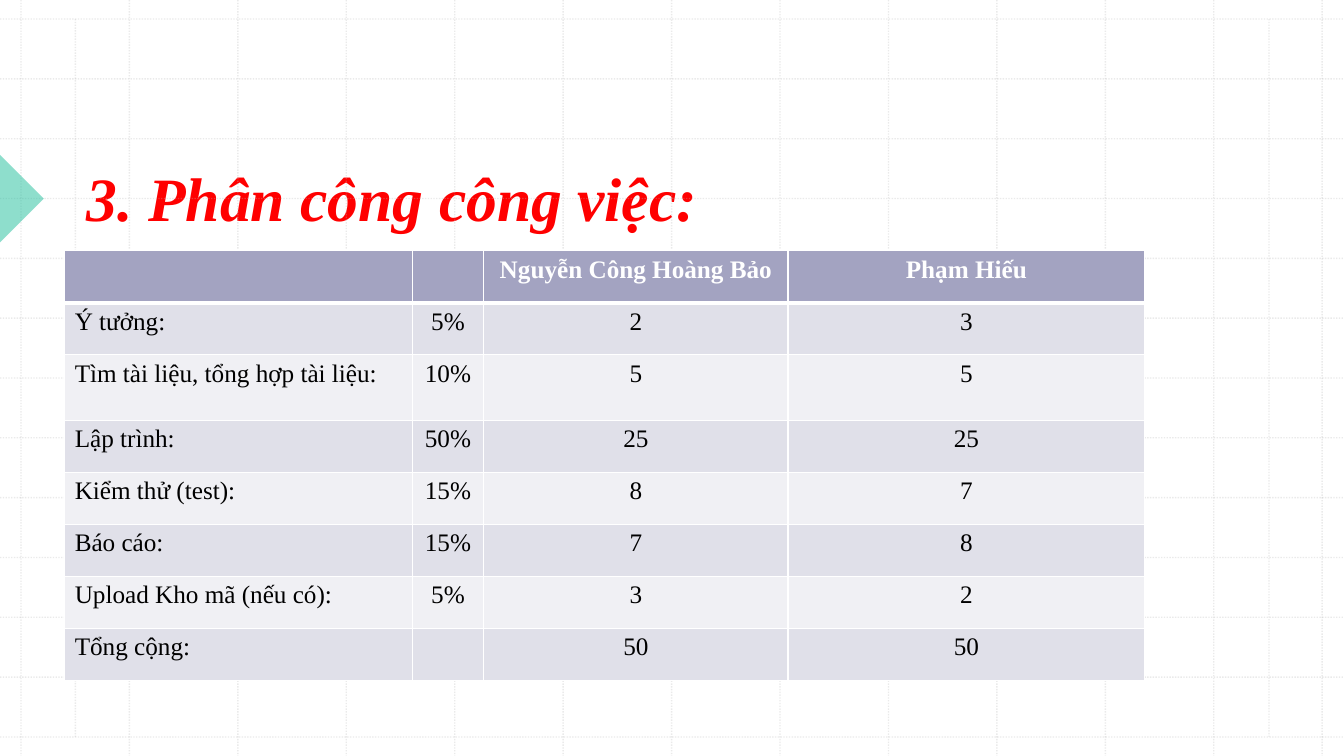
from lxml.etree import SubElement
from pptx import Presentation
from pptx.dml.color import RGBColor
from pptx.enum.dml import MSO_LINE
from pptx.enum.shapes import MSO_CONNECTOR, MSO_SHAPE
from pptx.enum.text import MSO_ANCHOR, MSO_AUTO_SIZE, PP_ALIGN
from pptx.oxml.ns import qn
from pptx.util import Cm, Pt

WIDTH, HEIGHT = 33.87, 19.05
LEFT, RIGHT, TOP, BOTTOM = 0.53, 33.32, 0.48, 18.57
STEPS = 12
COLUMN_WIDTHS = [8.76, 1.8, 7.67, 8.99]
ROW_HEIGHTS = [1.31, 1.31, 1.65] + [1.31] * 5
WORKLOAD = [
    ["", "", "Nguyễn Công Hoàng Bảo", "Phạm Hiếu"],
    ["Ý tưởng:", "5%", "2", "3"],
    ["Tìm tài liệu, tổng hợp tài liệu:", "10%", "5", "5"],
    ["Lập trình:", "50%", "25", "25"],
    ["Kiểm thử (test):", "15%", "8", "7"],
    ["Báo cáo:", "15%", "7", "8"],
    ["Upload Kho mã (nếu có):", "5%", "3", "2"],
    ["Tổng cộng:", "", "50", "50"],
]


def paint(target, color, alpha=None):
    target.solid()
    target.fore_color.rgb = RGBColor.from_string(color)
    if alpha is not None:
        tint = target._xPr.find(qn("a:solidFill"))[0]
        SubElement(tint, qn("a:alpha"), val=str(alpha * 1000))


def write(frame, text, size=18, color="000000", bold=False, italic=False,
          align=PP_ALIGN.LEFT):
    paragraph = frame.paragraphs[0]
    paragraph.alignment = align
    run = paragraph.add_run()
    run.text = text
    font = run.font
    font.name, font.size = "Times New Roman", Pt(size)
    font.bold, font.italic = bold, italic
    paint(font.fill, color)


class Deck:
    grid, accent, heading = "BCBCBC", "1EBE9B", "FF0000"
    header, bands, border = "A3A3C1", ["F0F0F4", "E0E0E9"], "FFFFFF"

    def __init__(self):
        self.deck = Presentation()
        self.deck.slide_width, self.deck.slide_height = Cm(WIDTH), Cm(HEIGHT)
        self.slide = self.deck.slides.add_slide(self.deck.slide_layouts[5])
        self.shapes = self.slide.shapes

    def grid_line(self, *ends):
        line = self.shapes.add_connector(MSO_CONNECTOR.STRAIGHT, *map(Cm, ends))
        line.line.width = Pt(1)
        paint(line.line.fill, self.grid, alpha=30)
        line.line.dash_style = MSO_LINE.ROUND_DOT
        SubElement(line._element.spPr, qn("a:effectLst"))

    def marker(self, *box):
        marker = self.shapes.add_shape(MSO_SHAPE.RIGHT_TRIANGLE, *map(Cm, box))
        marker.rotation = 225
        marker.shadow.inherit = False
        paint(marker.fill, self.accent, alpha=50)
        marker.line.fill.background()

    def title(self, text, *box):
        title = self.shapes.title
        title.left, title.top, title.width, title.height = map(Cm, box)
        frame = title.text_frame
        frame.word_wrap = True
        frame.auto_size = MSO_AUTO_SIZE.NONE
        frame.vertical_anchor = MSO_ANCHOR.BOTTOM
        write(frame, text, size=44, color=self.heading, bold=True, italic=True)

    def cell_borders(self, cell, widths):
        properties = cell._tc.get_or_add_tcPr()
        for side, width in widths.items():
            edge = SubElement(properties, qn(f"a:ln{side}"), w=str(Pt(width)))
            fill = SubElement(edge, qn("a:solidFill"))
            SubElement(fill, qn("a:srgbClr"), val=self.border)

    def table(self, rows, left, top, widths, heights):
        table = self.shapes.add_table(
            len(rows), len(widths), Cm(left), Cm(top),
            Cm(sum(widths)), Cm(sum(heights))).table
        for column, width in zip(table.columns, widths):
            column.width = Cm(width)
        for r, (row, height) in enumerate(zip(rows, heights)):
            table.rows[r].height = Cm(height)
            for c, text in enumerate(row):
                cell = table.cell(r, c)
                self.cell_borders(cell, {
                    "L": 1, "R": 1, "T": 3 if r == 1 else 1, "B": 3 if r == 0 else 1})
                paint(cell.fill, self.bands[r % 2] if r else self.header)
                if text:
                    write(cell.text_frame, text, bold=r == 0,
                          color="000000" if r else "FFFFFF",
                          align=PP_ALIGN.CENTER if c else PP_ALIGN.LEFT)


def main():
    deck = Deck()
    for step in range(STEPS + 1):
        x = LEFT + step * (RIGHT - LEFT) / STEPS
        y = TOP + step * (BOTTOM - TOP) / STEPS
        deck.grid_line(x, 0, x, HEIGHT)
        deck.grid_line(0, y, WIDTH, y)
    for margin in (1.9, 31.98):
        deck.grid_line(margin, TOP, margin, BOTTOM)
    deck.marker(-0.79, 4.22, 1.57, 1.57)
    deck.title("3. Phân công công việc:", 1.93, 2.01, 28.68, 4.01)
    deck.table(WORKLOAD, 1.63, 6.32, COLUMN_WIDTHS, ROW_HEIGHTS)
    deck.deck.save("out.pptx")


if __name__ == "__main__":
    main()
